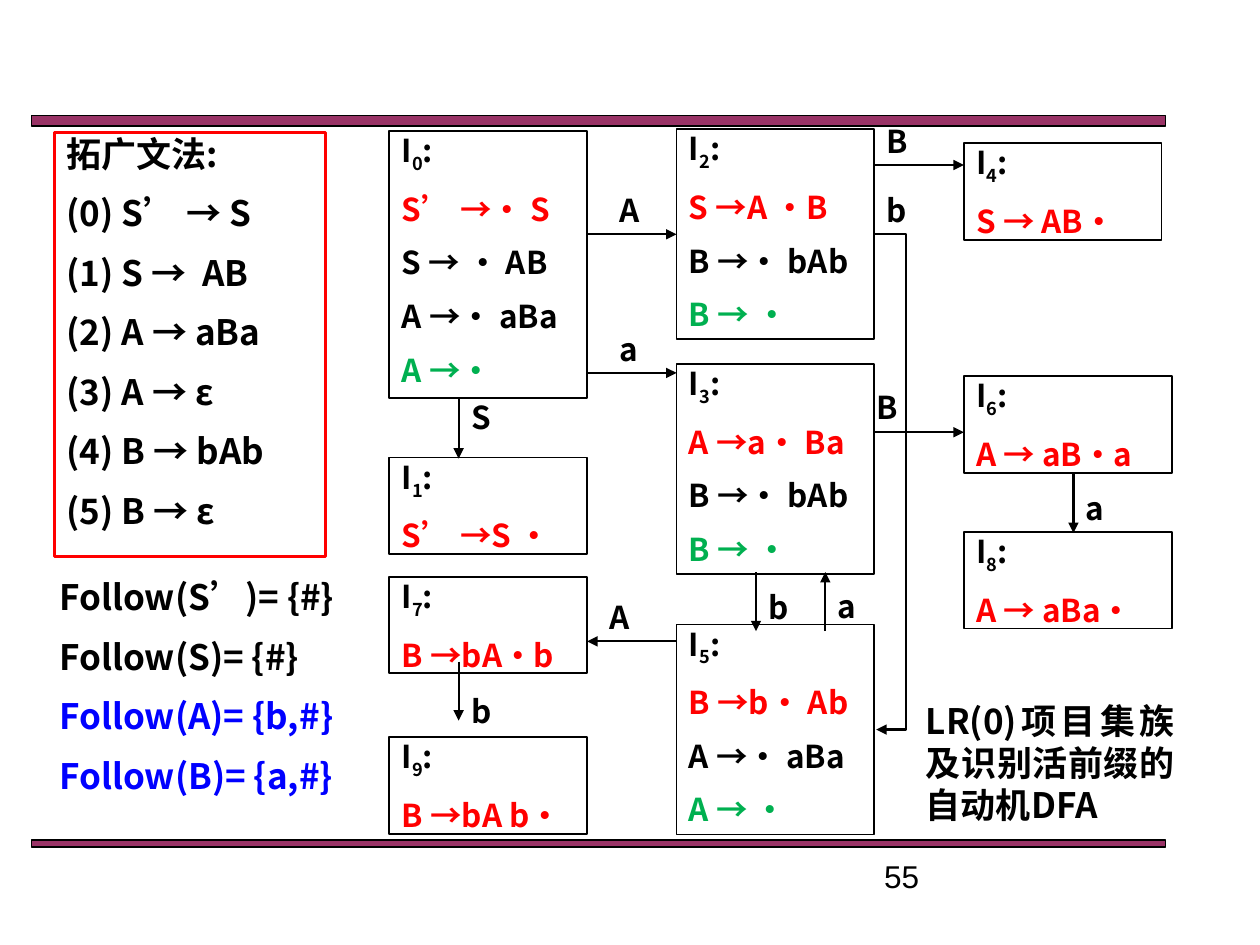
from lxml.etree import SubElement
from pptx import Presentation
from pptx.dml.color import RGBColor
from pptx.enum.shapes import MSO_CONNECTOR, MSO_SHAPE
from pptx.enum.text import MSO_ANCHOR, PP_ALIGN
from pptx.oxml.ns import qn
from pptx.util import Pt

FONT = "Noto Sans CJK SC"
BLACK, RED, GREEN, BLUE, PLUM = "000000", "FF0000", "00B050", "0000FF", "993366"
LEFT, MIDDLE, RIGHT = 222.5, 386.6, 550.8
WIDTH, WIDE = 113, 118.8

STATES = [
    ("0", LEFT, 74.9, WIDTH, 152.6,
     [("S’ →· S", RED), ("S → · AB", BLACK), ("A →· aBa", BLACK), ("A →·", GREEN)]),
    ("1", LEFT, 261.5, WIDTH, 55.2, [("S’ →S ·", RED)]),
    ("7", LEFT, 329.6, WIDTH, 55.2, [("B →bA·b", RED)]),
    ("9", LEFT, 421.2, WIDTH, 55.2, [("B →bA b·", RED)]),
    ("2", MIDDLE, 73.9, WIDTH, 120,
     [("S →A ·B", RED), ("B →· bAb", BLACK), ("B → ·", GREEN)]),
    ("3", MIDDLE, 208, WIDTH, 120,
     [("A →a· Ba", RED), ("B →· bAb", BLACK), ("B → ·", GREEN)]),
    ("5", MIDDLE, 356.9, WIDTH, 120,
     [("B →b· Ab", RED), ("A →· aBa", BLACK), ("A → ·", GREEN)]),
    ("4", RIGHT, 81.8, WIDTH, 55.2, [("S → AB·", RED)]),
    ("6", RIGHT, 215, WIDE, 55.2, [("A → aB·a", RED)]),
    ("8", RIGHT, 304, WIDE, 55.2, [("A → aBa·", RED)]),
]

ARROWS = [
    (335.5, 133.9, 386.6, 133.9), (335.5, 213.1, 386.6, 213.1),
    (262.1, 228.2, 262.1, 262.1), (262.1, 378, 262.1, 411.8),
    (499.7, 94.3, 550.8, 94.3), (499.7, 247, 550.8, 247),
    (613.4, 270, 613.4, 304.6), (432, 326.9, 432, 360.7),
    (471.6, 360.7, 471.6, 326.9), (386.6, 366.5, 335.5, 366.5),
]

LABELS = [
    ("S", 262.1, 223.9), ("A", 347, 105.8), ("a", 347, 185), ("b", 262.1, 391.7),
    ("B", 499.7, 66.2), ("B", 493.9, 218.2), ("a", 613.4, 275.8), ("b", 432, 332.6),
    ("a", 471.6, 331.9), ("A", 341.3, 338.4), ("b", 499.7, 105.8),
]


def color(value):
    """Turn a hex string into a colour."""
    return RGBColor.from_string(value)


def add_box(page, left, top, width, height, line=None, weight=1, fill=None):
    """Add a rectangle with an optional fill and outline."""
    box = page.shapes.add_shape(
        MSO_SHAPE.RECTANGLE, Pt(left), Pt(top), Pt(width), Pt(height))
    box.shadow.inherit = False
    if fill:
        box.fill.solid()
        box.fill.fore_color.rgb = color(fill)
    else:
        box.fill.background()
    box.line.color.rgb = color(line)
    box.line.width = Pt(weight)
    return box


def add_text_box(page, left, top, width, height):
    """Add an empty text box."""
    return page.shapes.add_textbox(Pt(left), Pt(top), Pt(width), Pt(height))


def write(box, lines, size, inset=0, font=FONT, bold=True, align=PP_ALIGN.LEFT):
    """Fill a box with paragraphs given as (spans, colour)."""
    frame = box.text_frame
    frame.word_wrap = True
    frame.vertical_anchor = MSO_ANCHOR.TOP
    frame.margin_left = frame.margin_right = Pt(7.2)
    frame.margin_top = frame.margin_bottom = Pt(inset)
    for index, (spans, shade) in enumerate(lines):
        para = frame.add_paragraph() if index else frame.paragraphs[0]
        para.alignment = align
        if index:
            para.space_before = Pt(size / 2)
        para.font.size = Pt(size)
        para.font.bold = bold
        para.font.name = font
        para.font.color.rgb = color(shade)
        SubElement(para.font._element, qn("a:ea"), typeface=font)
        for position, text in enumerate(spans):
            span = para.add_run()
            span.text = text
            if position == 1:
                span.font._element.set("baseline", "-25000")


def add_state(page, number, left, top, width, height, items):
    """Add an item set with its numbered heading."""
    box = add_box(page, left, top, width, height, BLACK)
    heading = (["I", number, ":"], BLACK)
    write(box, [heading] + [([item], shade) for item, shade in items], 18)


def add_arrow(page, start_x, start_y, end_x, end_y, kind=MSO_CONNECTOR.STRAIGHT):
    """Add a connector with a triangle at its end."""
    arrow = page.shapes.add_connector(
        kind, Pt(start_x), Pt(start_y), Pt(end_x), Pt(end_y))
    arrow.line.color.rgb = color(BLACK)
    arrow.line.width = Pt(1.25)
    SubElement(arrow.line._get_or_add_ln(), qn("a:tailEnd"), type="triangle")
    SubElement(arrow._element.spPr, qn("a:effectLst"))
    return arrow


def add_detour(page, start_x, start_y, end_y, reach):
    """Add an elbow arrow that swings out to the right and back."""
    arrow = add_arrow(page, start_x, start_y, start_x + 1, end_y, MSO_CONNECTOR.ELBOW)
    guides = arrow._element.spPr.find(qn("a:prstGeom")).find(qn("a:avLst"))
    SubElement(guides, qn("a:gd"), name="adj1", fmla=f"val {reach * 100000}")


def main():
    """Build the slide."""
    deck = Presentation()
    deck.slide_width, deck.slide_height = Pt(720), Pt(540)
    page = deck.slides.add_slide(deck.slide_layouts[6])

    for top, height in ((66, 6), (480, 4)):
        add_box(page, 18, top, 648, height, BLACK, 0.75, PLUM)

    for state in STATES:
        add_state(page, *state)
    for arrow in ARROWS:
        add_arrow(page, *arrow)
    add_detour(page, 499.7, 133.9, 416.9, 18)
    for text, left, top in LABELS:
        write(add_text_box(page, left, top, 22.5, 28.8), [([text], BLACK)], 18, 3.6)

    grammar = ["拓广文法:", "(0) S’ → S", "(1) S →  AB", "(2) A → aBa",
               "(3) A → ε", "(4) B → bAb", "(5) B → ε"]
    write(add_box(page, 31, 75.6, 155, 242.6, RED, 1.75),
          [([rule], BLACK) for rule in grammar], 20)

    follow = [("Follow(S’)= {#}", BLACK), ("Follow(S)= {#}", BLACK),
              ("Follow(A)= {b,#}", BLUE), ("Follow(B)= {a,#}", BLUE)]
    write(add_text_box(page, 26.8, 329, 177, 133),
          [([text], shade) for text, shade in follow], 20)

    write(add_text_box(page, 522, 396, 156.2, 80),
          [(["LR(0)项目集族及识别活前缀的自动机DFA"], BLACK)], 20, 3.6,
          align=PP_ALIGN.JUSTIFY)
    write(add_text_box(page, 498.2, 486, 167.8, 19.4), [(["55"], BLACK)], 18, 3.6,
          font="Arial", bold=False)
    deck.save("out.pptx")


if __name__ == "__main__":
    main()
